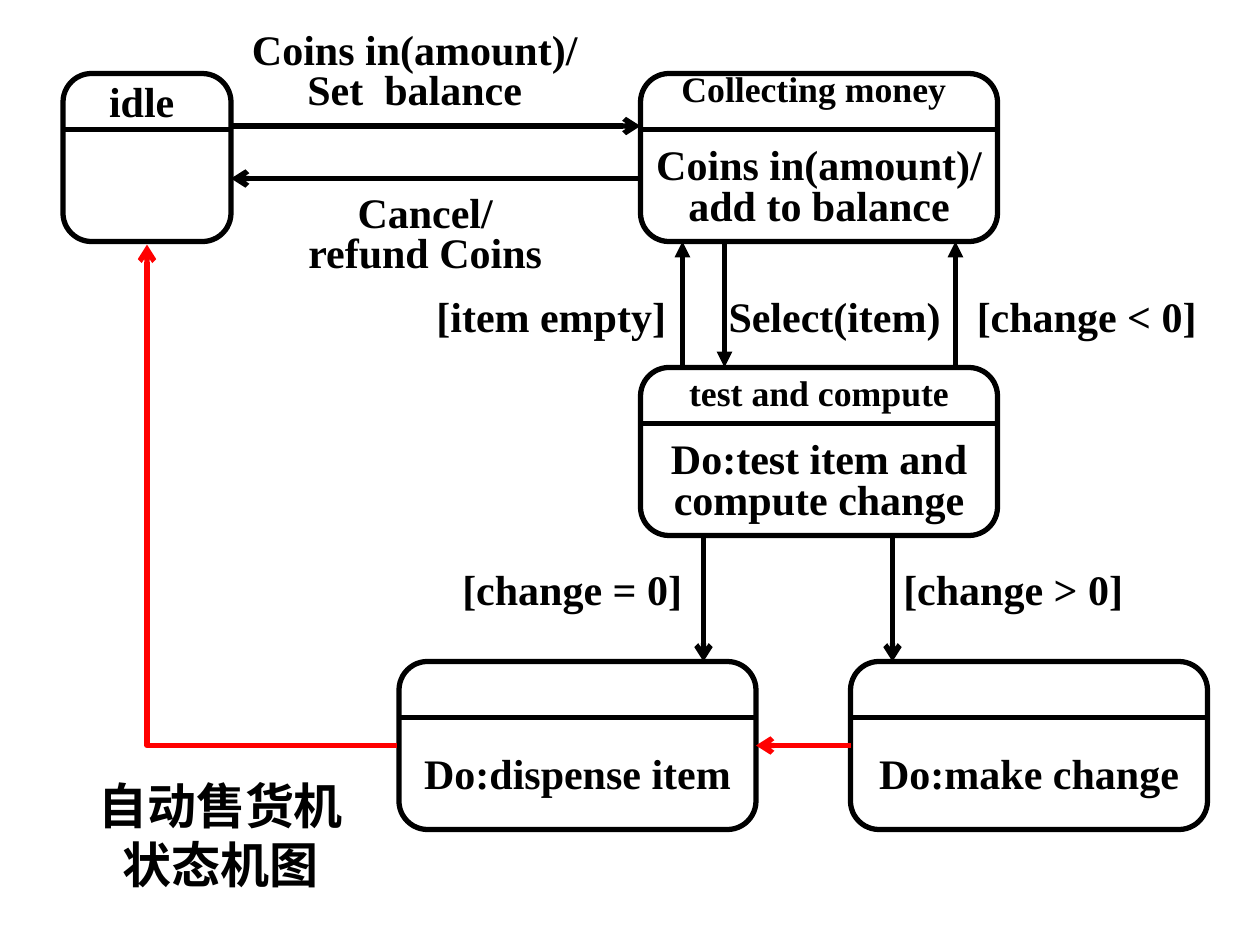
"""Build the state machine diagram of a vending machine on a grid of twelfths of an inch."""
from lxml import etree
from pptx import Presentation
from pptx.dml.color import RGBColor
from pptx.enum.shapes import MSO_CONNECTOR, MSO_SHAPE
from pptx.enum.text import MSO_ANCHOR, PP_ALIGN
from pptx.oxml.ns import qn
from pptx.util import Cm, Pt

STRAIGHT, ELBOW = MSO_CONNECTOR.STRAIGHT, MSO_CONNECTOR.ELBOW
ROUNDED = MSO_SHAPE.ROUNDED_RECTANGLE
MIDDLE, CENTER = MSO_ANCHOR.MIDDLE, PP_ALIGN.CENTER

COLORS = {"ink": "000000", "return": "FF0000"}
FONT = "Times New Roman"
GRID_CM = 2.54 / 12
STATE_HEIGHT, DIVIDER = 16, 5.33

STATES = [(6, 7, 16), (61, 7, 34), (61, 35, 34), (38, 63, 34), (81, 63, 34)]

NAMES = [
    ("Collecting money", (61, 7, 33, 4)),
    ("test and compute", (61, 36, 34, 4)),
]

LABELS = [
    ("idle", (8, 7, 11, 6)),
    ("Coins in(amount)/\nadd to balance", (61, 12, 34, 12)),
    ("Do:test item and compute change", (61, 40, 34, 12)),
    ("Do:dispense item", (38, 68, 34, 12)),
    ("Do:make change", (81, 68, 34, 12)),
    ("Coins in(amount)/\nSet  balance", (22, 2, 35, 10)),
    ("Cancel/\nrefund Coins", (26, 18, 29, 9)),
    ("[item empty]", (40, 27, 25, 7)),
    ("Select(item)", (68, 27, 23, 7)),
    ("[change < 0]", (91, 27, 25, 7)),
    ("[change = 0]", (42, 53, 25, 7)),
    ("[change > 0]", (84, 53, 25, 7)),
]

ARROWS = [
    ((22, 12, 61, 12), "arrow", "ink"),
    ((61, 17, 22, 17), "arrow", "ink"),
    ((65, 35, 65, 23), "triangle", "ink"),
    ((69, 23, 69, 35), "triangle", "ink"),
    ((91, 35, 91, 23), "triangle", "ink"),
    ((67, 51, 67, 63), "arrow", "ink"),
    ((85, 51, 85, 63), "arrow", "ink"),
    ((81, 71, 72, 71), "arrow", "return"),
]
RETURN_PATH = (14, 23.3, 37.8, 71)


def grid(values):
    return [Cm(v * GRID_CM) for v in values]


def add_text(s, text, box, size=24, spacing=0.8):
    tf = s.shapes.add_textbox(*grid(box)).text_frame
    tf.word_wrap = True
    tf.vertical_anchor = MIDDLE
    tf.text = text
    for p in tf.paragraphs:
        p.alignment = CENTER
        p.line_spacing = spacing
        p.font.name = FONT
        p.font.size = Pt(size)
        p.font.bold = True
        p.font.color.rgb = RGBColor.from_string(COLORS["ink"])


def set_line(sp, color):
    sp.line.color.rgb = RGBColor.from_string(COLORS[color])
    sp.line.width = Pt(3)


def add_line(s, ends, color="ink", tip=None, kind=STRAIGHT):
    sp = s.shapes.add_connector(kind, *grid(ends))
    set_line(sp, color)
    if tip:
        etree.SubElement(sp.line._get_or_add_ln(), qn("a:tailEnd"), type=tip)
    etree.SubElement(sp._element.spPr, qn("a:effectLst"))
    return sp


def add_state(s, left, top, width):
    sp = s.shapes.add_shape(ROUNDED, *grid((left, top, width, STATE_HEIGHT)))
    sp.adjustments[0] = 0.17
    sp.shadow.inherit = False
    sp.fill.background()
    set_line(sp, "ink")
    add_line(s, (left, top + DIVIDER, left + width, top + DIVIDER))


def add_return_path(s):
    spPr = add_line(s, RETURN_PATH, "return", "arrow", ELBOW)._element.spPr
    spPr.find(qn("a:xfrm")).set("rot", "10800000")
    spPr.find(qn("a:prstGeom")).set("prst", "bentConnector2")


def main():
    prs = Presentation()
    prs.slide_width, prs.slide_height = Cm(25.4), Cm(19.05)
    s = prs.slides.add_slide(prs.slide_layouts[6])
    for state in STATES:
        add_state(s, *state)
    for ends, tip, color in ARROWS:
        add_line(s, ends, color, tip)
    add_return_path(s)
    for text, box in NAMES:
        add_text(s, text, box, size=20.4, spacing=0.6)
    for text, box in LABELS:
        add_text(s, text, box)
    add_text(s, "自动售货机状态机图", (7, 73, 28, 13), size=28, spacing=1.0)
    prs.save("out.pptx")


if __name__ == "__main__":
    main()
